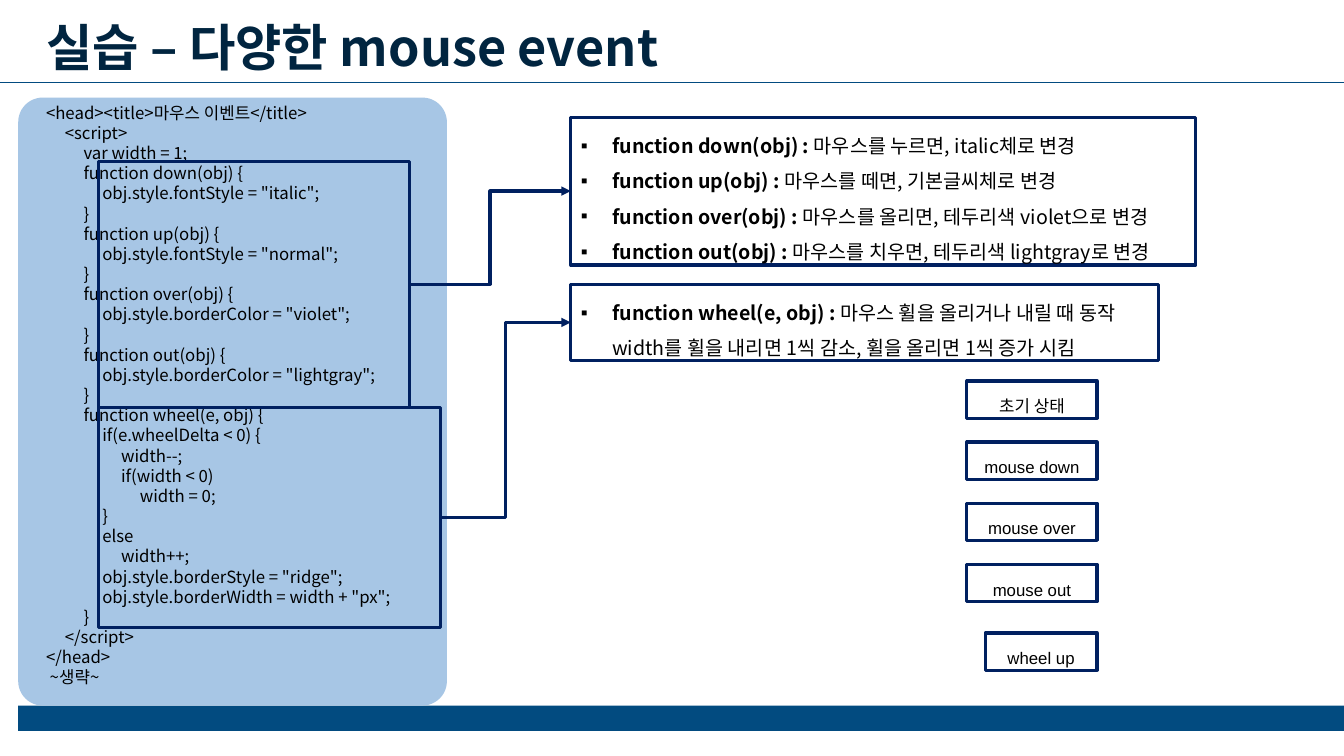
from lxml.etree import SubElement
from pptx import Presentation
from pptx.dml.color import RGBColor
from pptx.enum.shapes import MSO_CONNECTOR, MSO_SHAPE
from pptx.enum.text import MSO_ANCHOR, MSO_AUTO_SIZE, PP_ALIGN
from pptx.oxml.ns import qn
from pptx.util import Cm, Pt

KOREAN_FONT, LABEL_FONT = "Noto Sans CJK KR", "Arial"
NAVY, BLUE, PALE_BLUE, TITLE_INK, BLACK = "002060", "024B80", "A7C6E5", "012540", "000000"

TITLE = "실습 – 다양한 mouse event"
CODE = [
    '<head><title>마우스 이벤트</title>',
    '     <script>',
    '          var width = 1;',
    '          function down(obj) {',
    '               obj.style.fontStyle = "italic";',
    '          }',
    '          function up(obj) {',
    '               obj.style.fontStyle = "normal";',
    '          }',
    '          function over(obj) {',
    '               obj.style.borderColor = "violet";',
    '          }',
    '          function out(obj) {',
    '               obj.style.borderColor = "lightgray";',
    '          }',
    '          function wheel(e, obj) {',
    '               if(e.wheelDelta < 0) {',
    '                    width--;',
    '                    if(width < 0)',
    '                         width = 0;',
    '               }',
    '               else',
    '                    width++;',
    '               obj.style.borderStyle = "ridge";',
    '               obj.style.borderWidth = width + "px";',
    '          }',
    '     </script>',
    '</head>',
    ' ~생략~',
]

# Each group: frame around the code, note box (left, top, width, height in cm), note lines
GROUPS = [
    ((2.49, 4.06, 7.82, 6.2), (14.38, 2.95, 15.75, 3.73), [
        ("function down(obj) : ", "마우스를 누르면, italic체로 변경"),
        ("function up(obj) : ", "마우스를 떼면, 기본글씨체로 변경"),
        ("function over(obj) : ", "마우스를 올리면, 테두리색 violet으로 변경"),
        ("function out(obj) : ", "마우스를 치우면, 테두리색 lightgray로 변경"),
    ]),
    ((2.49, 10.26, 8.61, 5.56), (14.38, 7.16, 14.81, 1.93), [
        ("function wheel(e, obj) : ",
         "마우스 휠을 올리거나 내릴 때 동작 width를 휠을 내리면 1씩 감소, 휠을 올리면 1씩 증가 시킴"),
    ]),
]
STATES = ["초기 상태", "mouse down", "mouse over", "mouse out"]
STATE_LEFT, STATE_TOP, STATE_WIDTH, STATE_HEIGHT, STATE_STEP = 24.36, 9.6, 3.28, 0.94, 1.54
WHEEL_STATE, WHEEL_TOP, WHEEL_WIDTH = "wheel up", 15.95, 2.82


def color(value):
    return RGBColor.from_string(value)


def style_run(span, size, ink=BLACK, bold=False, font=KOREAN_FONT):
    span.font.size = Pt(size)
    span.font.bold = bold
    span.font.color.rgb = color(ink)
    span.font.name = font
    SubElement(span.font._element, qn("a:ea"), typeface=KOREAN_FONT)


def place(box, left, top, width, height):
    box.left, box.top, box.width, box.height = Cm(left), Cm(top), Cm(width), Cm(height)


def set_frame(box, anchor=MSO_ANCHOR.TOP):
    frame = box.text_frame
    frame.word_wrap = True
    frame.auto_size = MSO_AUTO_SIZE.NONE
    frame.vertical_anchor = anchor
    return frame


def outline(item):
    item.line.color.rgb = color(NAVY)
    item.line.width = Pt(2.25)


def add_box(page, area, kind=MSO_SHAPE.RECTANGLE, fill=None):
    """Add a filled shape without a line, or an outlined one without a fill."""
    box = page.shapes.add_shape(kind, *map(Cm, area))
    box.shadow.inherit = False
    if fill:
        box.fill.solid()
        box.fill.fore_color.rgb = color(fill)
        box.line.fill.background()
    else:
        box.fill.background()
        outline(box)
    return box


def add_line(page, kind, *ends):
    line = page.shapes.add_connector(kind, *map(Cm, ends))
    SubElement(line._element.spPr, qn("a:effectLst"))
    return line


def fill_notes(box, notes):
    frame = set_frame(box)
    for index, (heading, detail) in enumerate(notes):
        para = frame.add_paragraph() if index else frame.paragraphs[0]
        properties = para._p.get_or_add_pPr()
        properties.set("marL", str(Cm(0.79)))
        properties.set("indent", str(-Cm(0.79)))
        SubElement(properties, qn("a:buFont"), typeface=LABEL_FONT)
        SubElement(properties, qn("a:buChar"), char="▪")
        para.line_spacing = 1.5
        para.space_before = Pt(0)
        for text, bold in ((heading, True), (detail, False)):
            span = para.add_run()
            span.text = text
            style_run(span, 14, bold=bold)


def add_state(page, text, left, top, width):
    box = add_box(page, (left, top, width, STATE_HEIGHT))
    para = set_frame(box).paragraphs[0]
    para.text = text
    para.alignment = PP_ALIGN.CENTER
    para.line_spacing = 1.5
    style_run(para.runs[0], 12, font=LABEL_FONT)


def join(page, code_frame, note):
    arrow = add_line(page, MSO_CONNECTOR.ELBOW, 0, 0, 1, 1)
    arrow.begin_connect(code_frame, 3)
    arrow.end_connect(note, 1)
    outline(arrow)
    SubElement(arrow.line._get_or_add_ln(), qn("a:tailEnd"), type="triangle")


def main():
    deck = Presentation()
    deck.slide_width, deck.slide_height = Cm(33.86), Cm(19.05)
    page = deck.slides.add_slide(deck.slide_layouts[3])
    # The layout's date, footer and number are not carried over to a new slide
    title, *notes = page.placeholders

    place(title, 0.91, 0.28, 20.98, 1.8)
    para = set_frame(title, MSO_ANCHOR.MIDDLE).paragraphs[0]
    para.text = TITLE
    para.alignment = PP_ALIGN.LEFT
    style_run(para.runs[0], 36, TITLE_INK, bold=True)

    add_box(page, (0.46, 17.78, 33.4, 0.64), fill=BLUE)
    rule = add_line(page, MSO_CONNECTOR.STRAIGHT, 0, 2.08, 33.86, 2.08)
    rule.line.color.rgb = color(BLUE)
    rule.line.width = Pt(0.5)

    panel = add_box(page, (0.46, 2.46, 10.8, 15.32), MSO_SHAPE.ROUNDED_RECTANGLE, PALE_BLUE)
    panel.adjustments[0] = 0.057
    code = page.shapes.add_textbox(Cm(0.91), Cm(2.46), Cm(10.34), Cm(15.65))
    frame = set_frame(code)
    frame.text = "\n".join(CODE)
    for para in frame.paragraphs:
        style_run(para.runs[0], 12)

    for note, (code_area, note_area, lines) in zip(notes, GROUPS):
        place(note, *note_area)
        outline(note)
        fill_notes(note, lines)
        join(page, add_box(page, code_area), note)

    for index, state in enumerate(STATES):
        add_state(page, state, STATE_LEFT, STATE_TOP + index * STATE_STEP, STATE_WIDTH)
    add_state(page, WHEEL_STATE, STATE_LEFT + STATE_WIDTH - WHEEL_WIDTH, WHEEL_TOP, WHEEL_WIDTH)

    deck.save("out.pptx")


if __name__ == "__main__":
    main()
